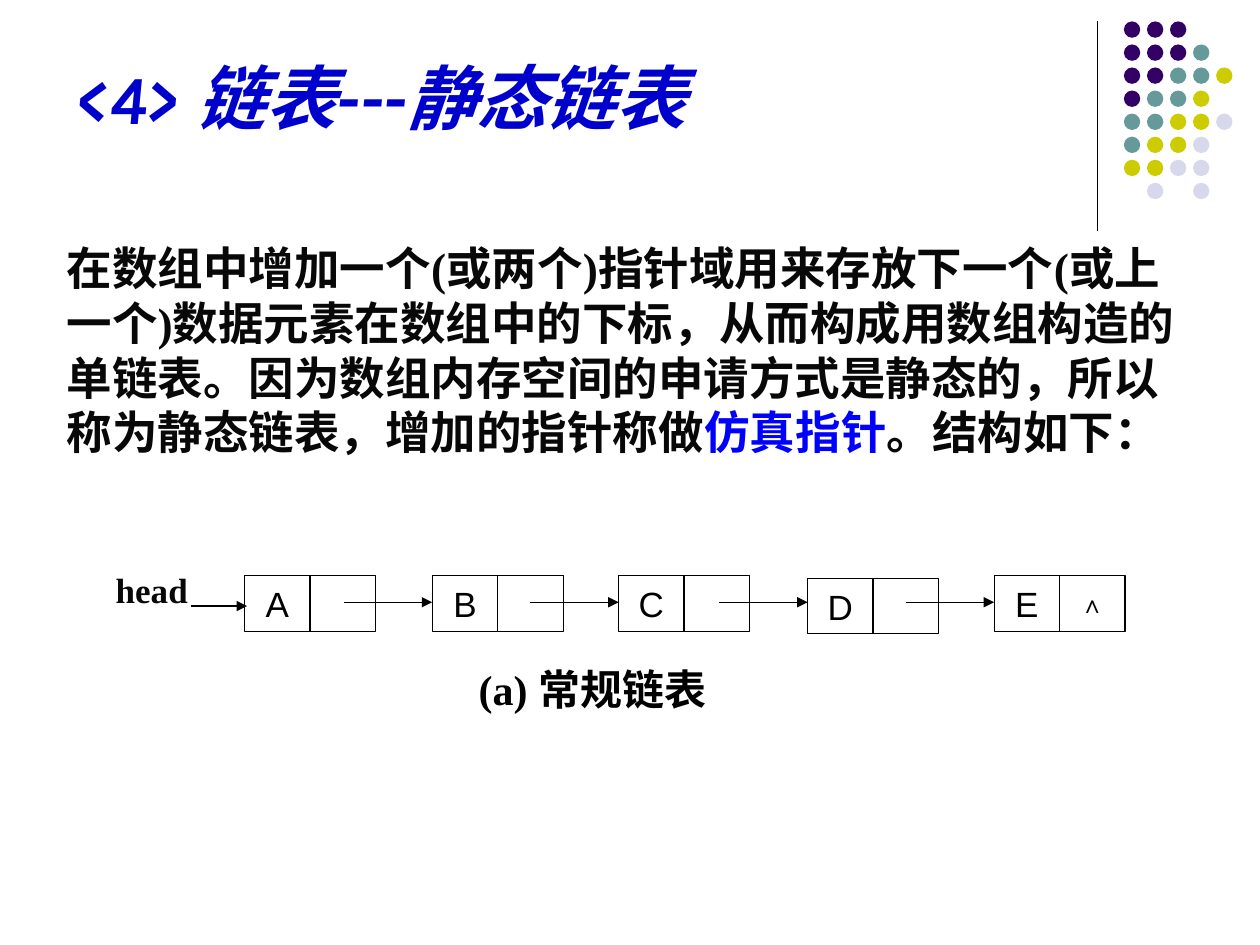
"""Build the static linked list slide."""
from lxml.etree import SubElement
from pptx import Presentation
from pptx.dml.color import RGBColor
from pptx.enum.shapes import MSO_CONNECTOR, MSO_SHAPE
from pptx.enum.text import MSO_ANCHOR, PP_ALIGN
from pptx.oxml.ns import qn
from pptx.util import Inches, Pt

BLACK = RGBColor(0x00, 0x00, 0x00)
INK = RGBColor(0x08, 0x08, 0x08)
TITLE_BLUE = RGBColor(0x00, 0x00, 0xCC)
TERM_BLUE = RGBColor(0x00, 0x00, 0xFF)
PURPLE = RGBColor(0x33, 0x00, 0x66)
TEAL = RGBColor(0x66, 0x99, 0x99)
OLIVE = RGBColor(0xCC, 0xCC, 0x00)
LAVENDER = RGBColor(0xD8, 0xD8, 0xEC)

DOT_COLORS = {"P": PURPLE, "T": TEAL, "O": OLIVE, "L": LAVENDER}
DOT_ROWS = ["PPP", "PPPT", "PPTTO", "PTTO", "TTOOL", "TOOL", "OOLL", " L L"]
NODES = [("A", 1.94, 4.57), ("B", 3.43, 4.57), ("C", 4.91, 4.57),
         ("D", 6.41, 4.59), ("E", 7.89, 4.57)]
CELL_WIDTH = 0.52


def add_span(para, text, size=20, font="Times New Roman", color=INK, bold=True, italic=False):
    """Append a formatted run to a paragraph."""
    span = para.add_run()
    span.text = text
    span.font.size = Pt(size)
    span.font.name = font
    span.font.color.rgb = color
    span.font.bold = bold
    span.font.italic = italic


class SlideBuilder:
    """Hold the line style and the current page."""

    def __init__(self, page, line_color=BLACK, line_width=0.75):
        self.page = page
        self.line_color = line_color
        self.line_width = Pt(line_width)

    def line(self, start, end, arrow=False):
        """Draw a straight line, with an arrowhead at its end if asked."""
        line = self.page.shapes.add_connector(
            MSO_CONNECTOR.STRAIGHT, *map(Inches, start + end))
        line.line.color.rgb = self.line_color
        line.line.width = self.line_width
        if arrow:
            SubElement(line.line._get_or_add_ln(), qn("a:tailEnd"), type="triangle")
        SubElement(line._element.spPr, qn("a:effectLst"))

    def dot(self, left, top, color):
        """Draw one decorative dot."""
        dot = self.page.shapes.add_shape(
            MSO_SHAPE.OVAL, Inches(left), Inches(top), Inches(0.13), Inches(0.13))
        dot.shadow.inherit = False
        dot.fill.solid()
        dot.fill.fore_color.rgb = color
        dot.line.fill.background()

    def cell(self, left, top, text="", size=20):
        """Draw one field of a list node."""
        cell = self.page.shapes.add_shape(
            MSO_SHAPE.RECTANGLE, Inches(left), Inches(top), Inches(CELL_WIDTH), Inches(0.44))
        cell.shadow.inherit = False
        cell.fill.background()
        cell.line.color.rgb = self.line_color
        cell.line.width = self.line_width
        if text:
            frame = cell.text_frame
            frame.word_wrap = False
            frame.vertical_anchor = MSO_ANCHOR.MIDDLE
            para = frame.paragraphs[0]
            para.alignment = PP_ALIGN.CENTER
            add_span(para, text, size=size, font="Arial", color=BLACK, bold=False)

    def text(self, left, top, width, height, spans, anchor=MSO_ANCHOR.TOP):
        """Place a text box made of (text, format) spans."""
        box = self.page.shapes.add_textbox(
            Inches(left), Inches(top), Inches(width), Inches(height))
        frame = box.text_frame
        frame.word_wrap = True
        frame.vertical_anchor = anchor
        for text, style in spans:
            add_span(frame.paragraphs[0], text, **style)


def main():
    """Create and save the deck."""
    deck = Presentation()
    deck.slide_width, deck.slide_height = Inches(10), Inches(7.5)
    builder = SlideBuilder(deck.slides.add_slide(deck.slide_layouts[6]))

    builder.line((8.71, 0.17), (8.71, 1.83))
    for row, codes in enumerate(DOT_ROWS):
        for column, code in enumerate(codes):
            if code in DOT_COLORS:
                builder.dot(8.92 + 0.183 * column, 0.17 + 0.183 * row, DOT_COLORS[code])

    title = {"font": "Karla", "color": TITLE_BLUE, "italic": True}
    builder.text(0.5, 0.13, 8.21, 1.02, [
        ("<4> ", {"size": 39, **title}),
        ("链表---静态链表", {"size": 40, **title}),
    ], anchor=MSO_ANCHOR.BOTTOM)
    builder.text(0.43, 1.86, 9, 2.27, [
        ("在数组中增加一个(或两个)指针域用来存放下一个(或上一个)数据元素在数组中的下标，"
         "从而构成用数组构造的单链表。因为数组内存空间的申请方式是静态的，"
         "所以称为静态链表，增加的指针称做", {"size": 26}),
        ("仿真指针", {"size": 26, "color": TERM_BLUE}),
        ("。结构如下：", {"size": 26}),
    ])

    for name, left, top in NODES:
        builder.cell(left, top, name)
        builder.cell(left + CELL_WIDTH, top, "∧" if name == "E" else "", size=14)
    for _, left, _ in NODES[1:]:
        builder.line((left - 0.7, 4.78), (left, 4.78), arrow=True)
    builder.text(0.82, 4.46, 0.78, 0.43, [("head", {})])
    builder.line((1.52, 4.81), (1.96, 4.81), arrow=True)
    builder.text(3.7, 5.22, 2.27, 0.5, [("(a) 常规链表", {"size": 24, "color": BLACK})])

    deck.save("out.pptx")


if __name__ == "__main__":
    main()
